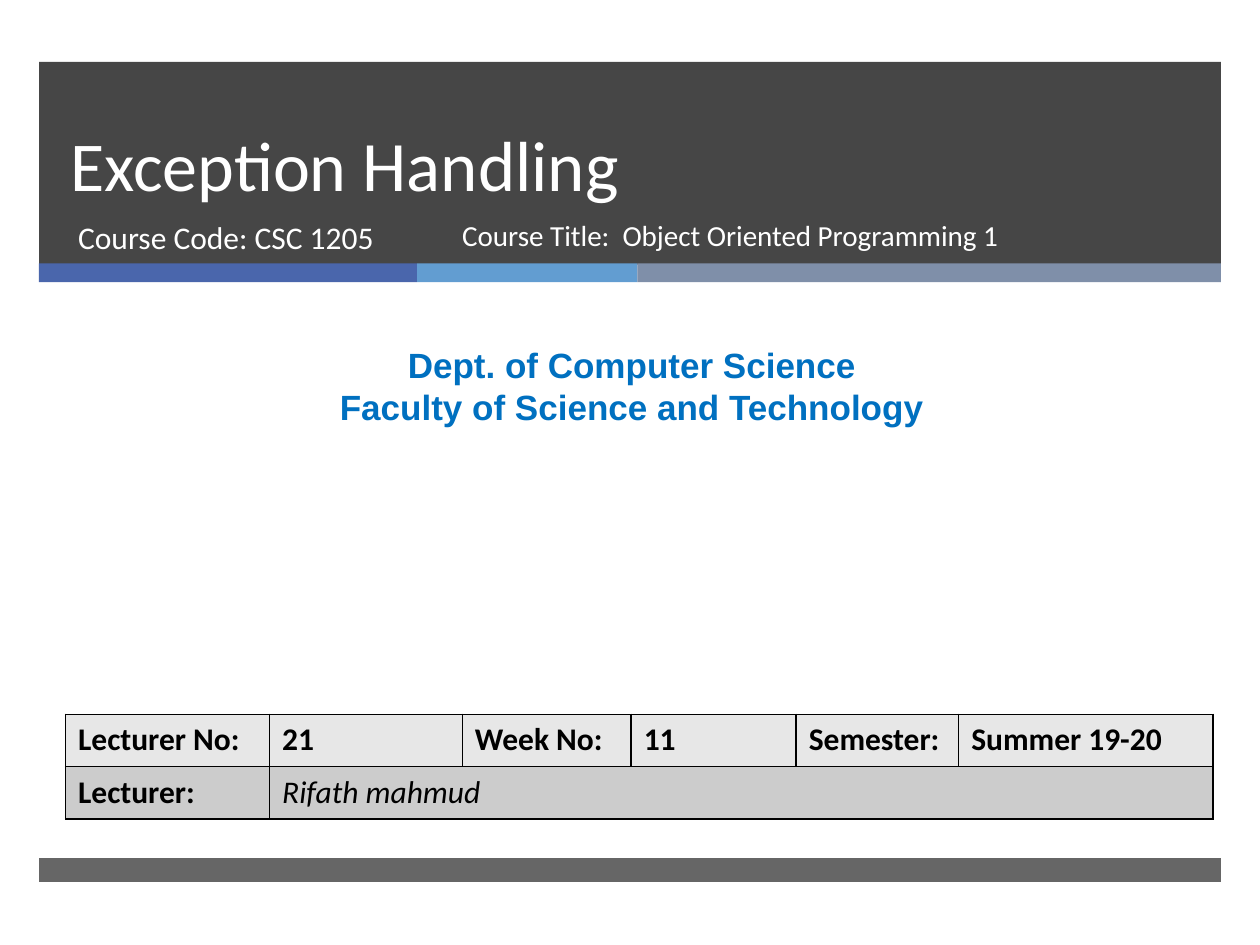
from pptx import Presentation
from pptx.dml.color import RGBColor
from pptx.enum.shapes import MSO_SHAPE
from pptx.enum.text import MSO_ANCHOR, MSO_AUTO_SIZE, PP_ALIGN
from pptx.oxml import parse_xml
from pptx.oxml.ns import nsdecls
from pptx.util import Inches, Pt

prs = Presentation()
prs.slide_width, prs.slide_height = Inches(10), Inches(7.5)
col, row = prs.slide_width / 100, prs.slide_height / 75
s = prs.slides.add_slide(prs.slide_layouts[0])


def grid(x, y, w, h):
    return [round(n * unit) for n, unit in zip((x, y, w, h), (col, row, col, row))]


def add_run(p, text, size, color, font="Calibri", bold=False, italic=False):
    r = p.add_run()
    r.text = text
    r.font.name, r.font.size = font, Pt(size)
    r.font.bold, r.font.italic = bold, italic
    r.font.color.rgb = RGBColor.from_string(color)


left, width = 3.1, 93.8
bars = [(left, 4.9, width, 16.1, "262626", 85), (left, 68.1, width, 1.9, "262626", 70)]
x = left
for w, color in ((30, "4A66AC"), (17.5, "629DD1"), (46.3, "7F8FA9")):
    bars.append((x, 20.9, w, 1.5, color, 100))
    x += w

for x, y, w, h, color, alpha in bars:
    sp = s.shapes.add_shape(MSO_SHAPE.RECTANGLE, *grid(x, y, w, h))
    sp.shadow.inherit = False
    sp.line.fill.background()
    sp.fill.solid()
    sp.fill.fore_color.rgb = RGBColor.from_string(color)
    if alpha < 100:
        clr = sp.fill._xPr.solidFill[0]
        clr.append(parse_xml(f'<a:alpha {nsdecls("a")} val="{alpha * 1000}"/>'))

title, code = s.placeholders
course = s.shapes.add_textbox(*grid(35.7, 16.8, 46.1, 5.3))
dept = s.shapes.add_textbox(*grid(0.8, 26.8, 98.7, 7.7))
for sp, place in ((title, (4.6, 4.9, 85.4, 11.9)), (code, (5.2, 16.8, 30.5, 5.3))):
    sp.left, sp.top, sp.width, sp.height = grid(*place)
    s.shapes._spTree.append(sp._element)

for sp in (title, code, course, dept):
    tf = sp.text_frame
    tf.word_wrap, tf.auto_size = True, MSO_AUTO_SIZE.NONE
    tf.vertical_anchor = MSO_ANCHOR.TOP
    tf.paragraphs[0].alignment = PP_ALIGN.LEFT
    tf.paragraphs[0].space_before = Pt(0)

title.text_frame.vertical_anchor = MSO_ANCHOR.BOTTOM
p = title.text_frame.paragraphs[0]
p.line_spacing = Pt(46)
add_run(p, "Exception", 40, "FFFFFF")
add_run(p, " Handling", 40.5, "FFFFFF")
add_run(code.text_frame.paragraphs[0], "Course Code: CSC 1205", 18, "FFFFFF")
add_run(course.text_frame.paragraphs[0],
        "Course Title:  Object Oriented Programming 1", 16.6, "FFFFFF")

tf = dept.text_frame
tf.auto_size = MSO_AUTO_SIZE.SHAPE_TO_FIT_TEXT
for p, text in ((tf.paragraphs[0], "Dept. of Computer Science"),
                (tf.add_paragraph(), "Faculty of Science and Technology")):
    p.alignment = PP_ALIGN.CENTER
    add_run(p, text, 20, "0070C0", "Arial", bold=True)

rows = [
    ("E7E7E7", ["Lecturer No:", "21", "Week No:", "11", "Semester:", "Summer 19-20"]),
    ("CCCCCC", ["Lecturer:", "Rifath mahmud"]),
]
widths = [16.2, 15.3, 13.4, 13.1, 12.9, 20.2]
tbl = s.shapes.add_table(2, 6, *grid(5.2, 56.7, sum(widths), 8.3)).table
for c, w in zip(tbl.columns, widths):
    c.width = round(w * col)
for i, (color, texts) in enumerate(rows):
    for cell in tbl.rows[i].cells:
        for side in ("lnL", "lnR", "lnT", "lnB"):
            cell._tc.get_or_add_tcPr().append(parse_xml(
                f'<a:{side} {nsdecls("a")} w="12700"><a:solidFill>'
                f'<a:srgbClr val="000000"/></a:solidFill></a:{side}>'))
        cell.fill.solid()
        cell.fill.fore_color.rgb = RGBColor.from_string(color)
    for j, text in enumerate(texts):
        name = (i, j) == (1, 1)
        add_run(tbl.cell(i, j).text_frame.paragraphs[0], text, 18, "000000",
                bold=not name, italic=name)
tbl.cell(1, 1).merge(tbl.cell(1, 5))

prs.save("out.pptx")
